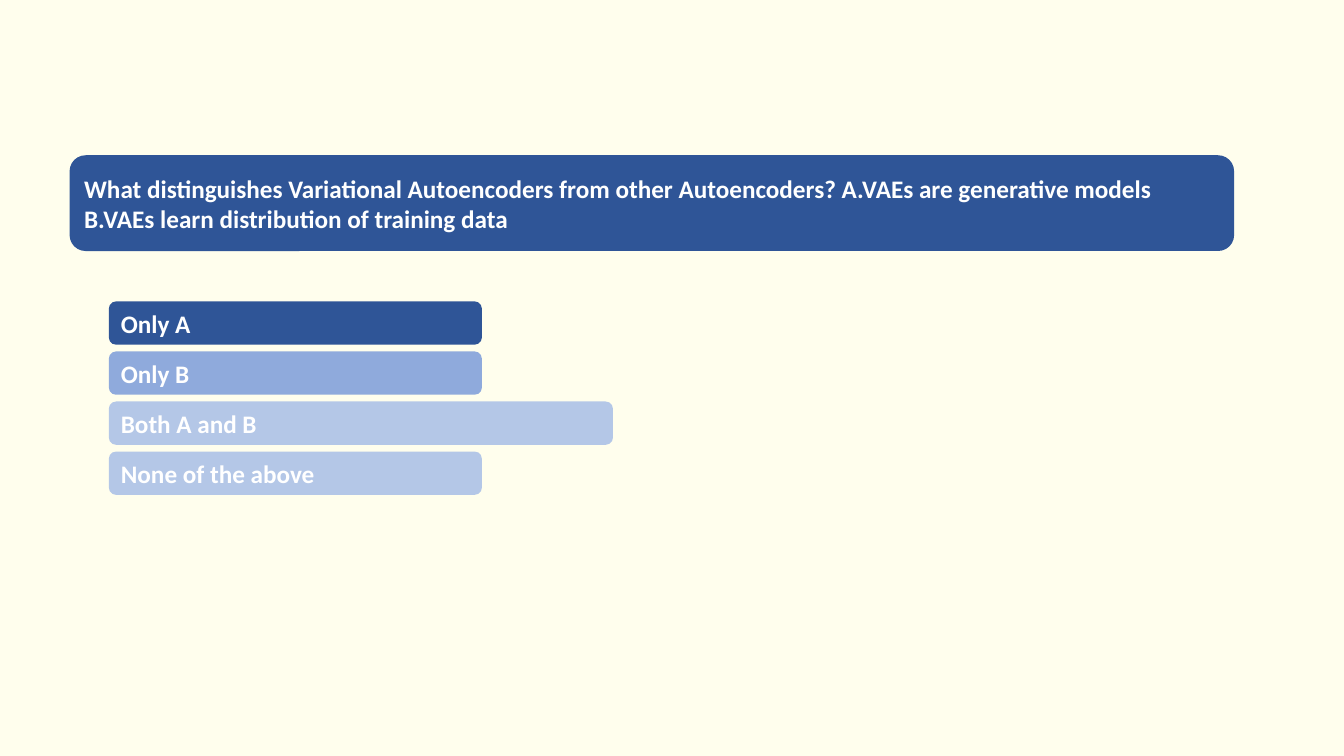
from pptx import Presentation
from pptx.dml.color import RGBColor
from pptx.enum.shapes import MSO_SHAPE as Shape
from pptx.enum.text import MSO_ANCHOR as Anchor, PP_ALIGN as Align
from pptx.util import Inches, Pt

CREAM = RGBColor(0xFF, 0xFE, 0xED)
WHITE = RGBColor(0xFF, 0xFF, 0xFF)
NAVY = RGBColor(0x2F, 0x55, 0x97)
BLUE = RGBColor(0x8F, 0xAA, 0xDC)
PALE = RGBColor(0xB4, 0xC7, 0xE7)

FONT = {"name": "Calibri", "size": Pt(18), "bold": True}
QUESTION = (
    "What distinguishes Variational Autoencoders from other Autoencoders? "
    "A.VAEs are generative models B.VAEs learn distribution of training data"
)
# Wording, fill and share of the full option width
OPTIONS = [
    ("Only A", NAVY, 0.74),
    ("Only B", BLUE, 0.74),
    ("Both A and B", PALE, 1),
    ("None of the above", PALE, 0.74),
]
OPTION_HEIGHT = 0.43


def add_bar(page, box, text, fill):
    bar = page.shapes.add_shape(Shape.ROUNDED_RECTANGLE, *map(Inches, box))
    bar.shadow.inherit = False
    bar.fill.solid()
    bar.fill.fore_color.rgb = fill
    bar.line.fill.background()
    frame = bar.text_frame
    frame.word_wrap = True
    frame.vertical_anchor = Anchor.MIDDLE
    para = frame.paragraphs[0]
    para.alignment = Align.LEFT
    span = para.add_run()
    span.text = text
    for name, value in FONT.items():
        setattr(span.font, name, value)
    span.font.color.rgb = WHITE


def add_options(page, box, options):
    """Spread the answer bars evenly from the top to the bottom of the box."""
    left, top, width, height = box
    pitch = (height - OPTION_HEIGHT) / (len(options) - 1)
    for row, (text, fill, share) in enumerate(options):
        bar_box = (left, top + row * pitch, width * share, OPTION_HEIGHT)
        add_bar(page, bar_box, text, fill)


def add_quiz_page(deck):
    page = deck.slides.add_slide(deck.slide_layouts[6])
    page.background.fill.solid()
    page.background.fill.fore_color.rgb = CREAM
    add_bar(page, (0.69, 1.54, 11.55, 0.95), QUESTION, NAVY)
    add_options(page, (1.08, 2.99, 5, 1.92), OPTIONS)


def main():
    deck = Presentation()
    deck.slide_width, deck.slide_height = Inches(13.33), Inches(7.5)
    add_quiz_page(deck)
    deck.save("out.pptx")


if __name__ == "__main__":
    main()
